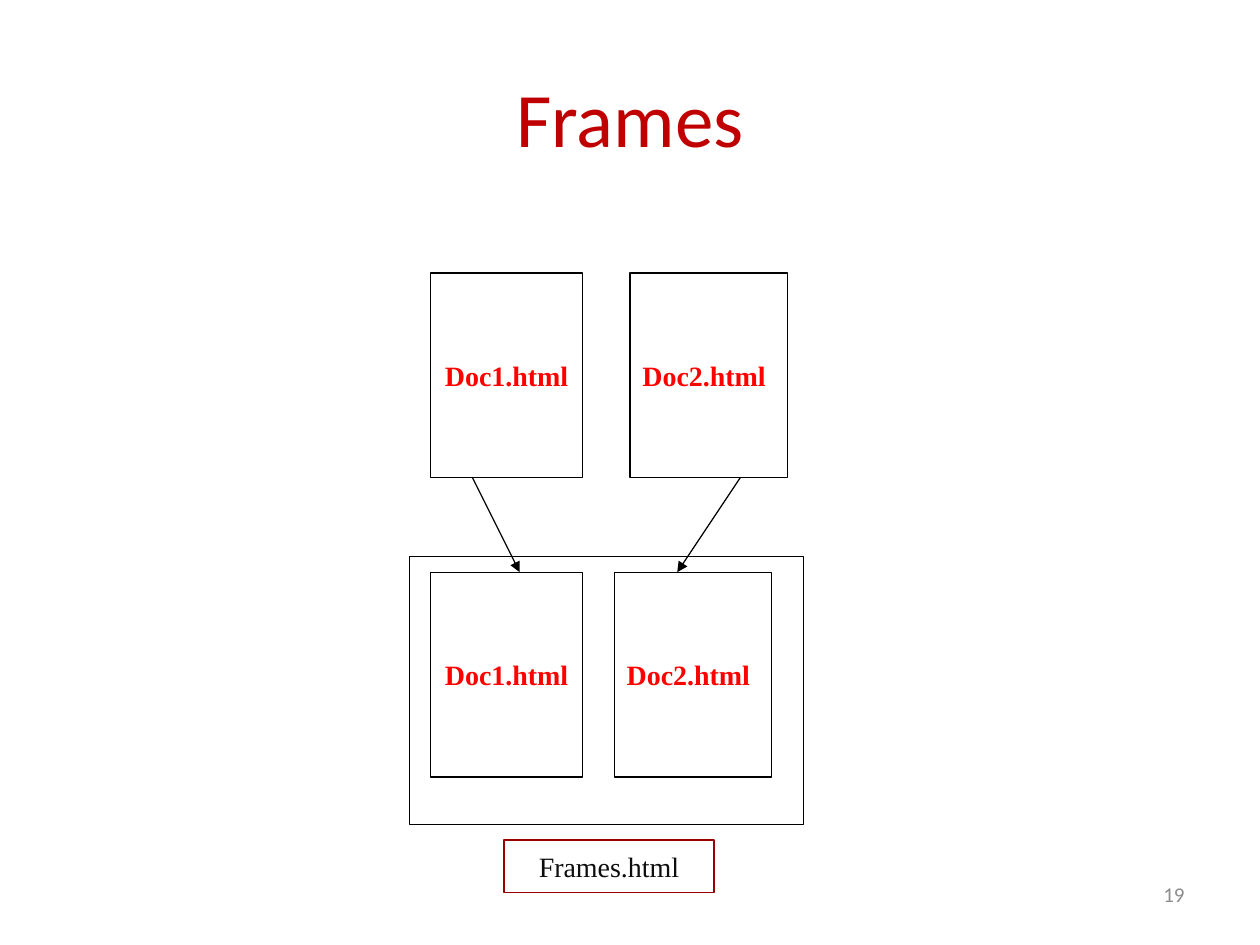
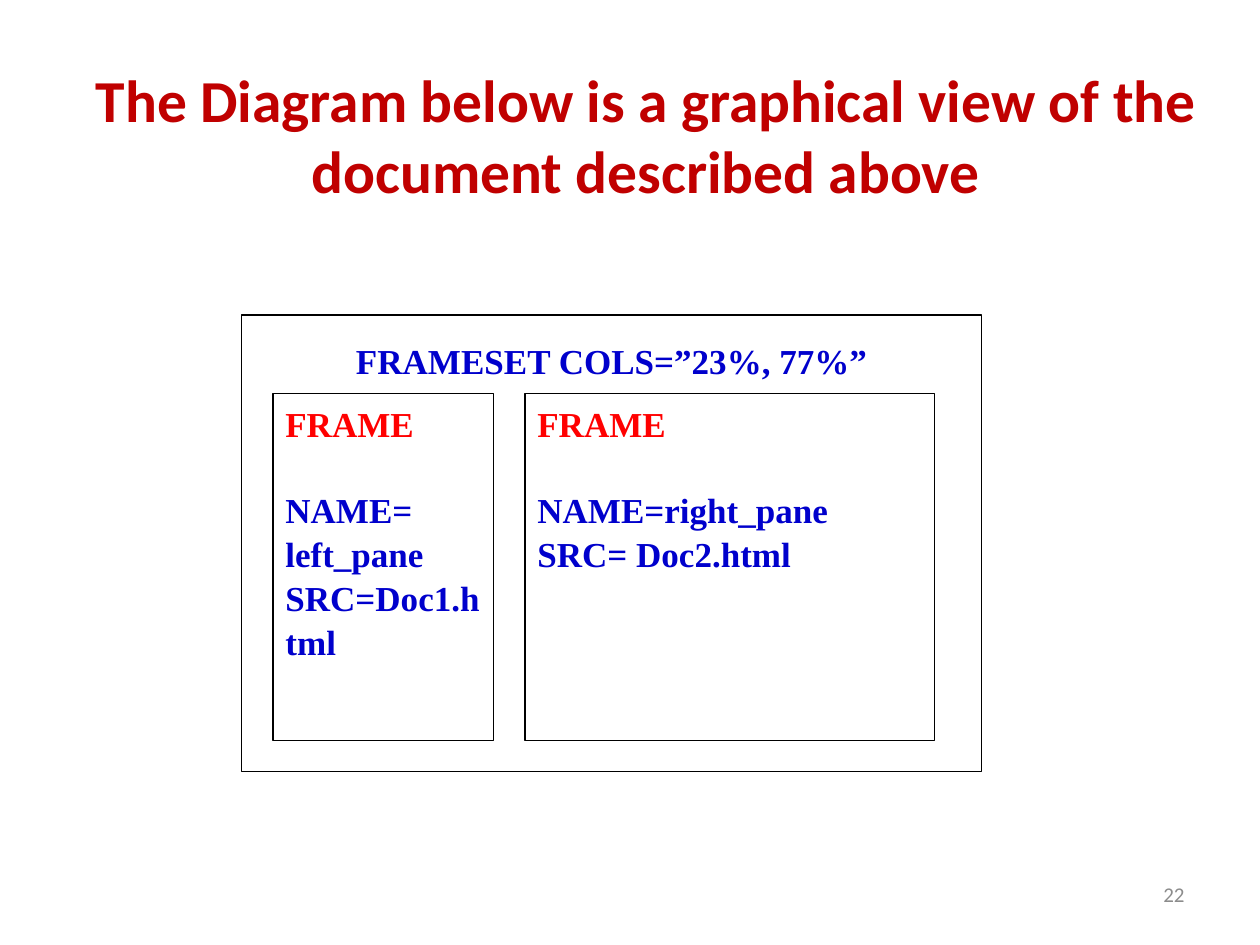
from dataclasses import dataclass

from lxml import etree
from pptx import Presentation, util as u
from pptx.dml.color import RGBColor
from pptx.enum import shapes, text
from pptx.oxml.ns import qn


@dataclass(frozen=True)
class Theme:
    heading_font: str = "Calibri"
    diagram_font: str = "Times New Roman"
    heading: str = "C00000"
    number: str = "8C8C8C"
    ink: str = "000000"
    paper: str = "FFFFFF"
    red: str = "FF0000"
    blue: str = "0000CC"
    caption: str = "0D0D0D"
    caption_edge: str = "990000"
    number_size: int = 12
    label_size: int = 16
    code_size: int = 20
    code_spacing: float = 1.05
    line_width: float = 0.75


THEME = Theme()
CELL = u.Inches(1) // 24  # grid of 24 cells to the inch
SLIDE = (240, 180)
NUMBER_AREA = (172, 164, 56, 12.5)
LEFT, CENTER, RIGHT = text.PP_ALIGN.LEFT, text.PP_ALIGN.CENTER, text.PP_ALIGN.RIGHT
TOP, MIDDLE = text.MSO_ANCHOR.TOP, text.MSO_ANCHOR.MIDDLE

# Areas are (column, row, columns, rows)
FRAMES = dict(
    title="Frames", title_area=(12, 7.2, 216, 30), title_size=44, bold=False, number="19",
    window=(78, 106, 75, 51),
    doc_rows=(109, 52), doc_height=39,
    docs=[  # name, width, column in each row, alignment
        ("Doc2.html", 30, (117, 120), LEFT),
        ("Doc1.html", 29, (82, 82), CENTER),
    ],
    caption=("Frames.html", (96, 160, 40, 10)),
    arrow_columns=[(90, 99), (141, 129)],
)
FRAMESET = dict(
    title="The Diagram below is a graphical view of the document described above",
    title_area=(12, 7.2, 222, 36.72), title_size=34, bold=True, number="22",
    window=(46, 60, 141, 87),
    heading=("FRAMESET COLS=”23%, 77%”", (61, 63, 111, 9)),
    pane_row=75, pane_height=66,
    panes=[  # column, width, attributes
        (100, 78, ["NAME=right_pane", "SRC= Doc2.html"]),
        (52, 42, ["NAME= left_pane", "SRC=Doc1.html"]),
    ],
)


def cells(*counts):
    return [round(count * CELL) for count in counts]


def write(shape, lines, font, size, align=LEFT, anchor=MIDDLE, bold=False, spacing=None):
    """Fill a shape with (text, colour, points before) lines."""
    frame = shape.text_frame
    frame.word_wrap = True
    frame.vertical_anchor = anchor
    for index, (words, color, before) in enumerate(lines):
        paragraph = frame.add_paragraph() if index else frame.paragraphs[0]
        paragraph.alignment = align
        if before:
            paragraph.space_before = u.Pt(before)
        if spacing:
            paragraph.line_spacing = spacing
        run = paragraph.add_run()
        run.text = words
        run.font.name, run.font.size, run.font.bold = font, u.Pt(size), bold
        run.font.color.rgb = RGBColor.from_string(color)


def add_box(slide, area, edge=THEME.ink, fill=None):
    box = slide.shapes.add_shape(shapes.MSO_SHAPE.RECTANGLE, *cells(*area))
    box.shadow.inherit = False
    if fill:
        box.fill.solid()
        box.fill.fore_color.rgb = RGBColor.from_string(fill)
    else:
        box.fill.background()
    box.line.color.rgb = RGBColor.from_string(edge)
    box.line.width = u.Pt(THEME.line_width)
    return box


def add_arrow(slide, start, end):
    arrow = slide.shapes.add_connector(
        shapes.MSO_CONNECTOR.STRAIGHT, *cells(*start, *end))
    arrow.line.color.rgb = RGBColor.from_string(THEME.ink)
    arrow.line.width = u.Pt(THEME.line_width)
    etree.SubElement(arrow.line._get_or_add_ln(), qn("a:tailEnd"), type="triangle")
    etree.SubElement(arrow._element.spPr, qn("a:effectLst"))


def start_slide(deck, content):
    """Add a blank slide with its title and page number."""
    slide = deck.slides.add_slide(deck.slide_layouts[6])
    number = slide.shapes.add_textbox(*cells(*NUMBER_AREA))
    write(number, [(content["number"], THEME.number, 0)],
          THEME.heading_font, THEME.number_size, RIGHT)
    title = slide.shapes.add_textbox(*cells(*content["title_area"]))
    write(title, [(content["title"], THEME.heading, 0)], THEME.heading_font,
          content["title_size"], CENTER, bold=content["bold"])
    return slide


def add_frames_slide(deck, content):
    slide = start_slide(deck, content)
    add_box(slide, content["window"], fill=THEME.paper)
    height = content["doc_height"]
    for index, row in enumerate(content["doc_rows"]):
        for name, width, columns, align in content["docs"]:
            doc = add_box(slide, (columns[index], row, width, height), fill=THEME.paper)
            write(doc, [(name, THEME.red, 0)], THEME.diagram_font,
                  THEME.label_size, align, bold=True)
    name, area = content["caption"]
    caption = add_box(slide, area, THEME.caption_edge)
    write(caption, [(name, THEME.caption, 0)], THEME.diagram_font, THEME.label_size, CENTER)
    framed_row, source_row = content["doc_rows"]
    for start, end in content["arrow_columns"]:
        add_arrow(slide, (start, source_row + height), (end, framed_row))


def add_frameset_slide(deck, content):
    slide = start_slide(deck, content)
    code = dict(font=THEME.diagram_font, size=THEME.code_size, anchor=TOP,
                bold=True, spacing=THEME.code_spacing)
    add_box(slide, content["window"])
    words, area = content["heading"]
    heading = add_box(slide, area, THEME.paper)
    write(heading, [(words, THEME.blue, 0)], align=CENTER, **code)
    for column, width, (name, source) in content["panes"]:
        pane = add_box(slide, (column, content["pane_row"], width, content["pane_height"]))
        write(pane, [("FRAME", THEME.red, 0), (name, THEME.blue, 24),
                     (source, THEME.blue, 0)], **code)


def main():
    deck = Presentation()
    deck.slide_width, deck.slide_height = cells(*SLIDE)
    add_frames_slide(deck, FRAMES)
    add_frameset_slide(deck, FRAMESET)
    deck.save("out.pptx")


if __name__ == "__main__":
    main()
